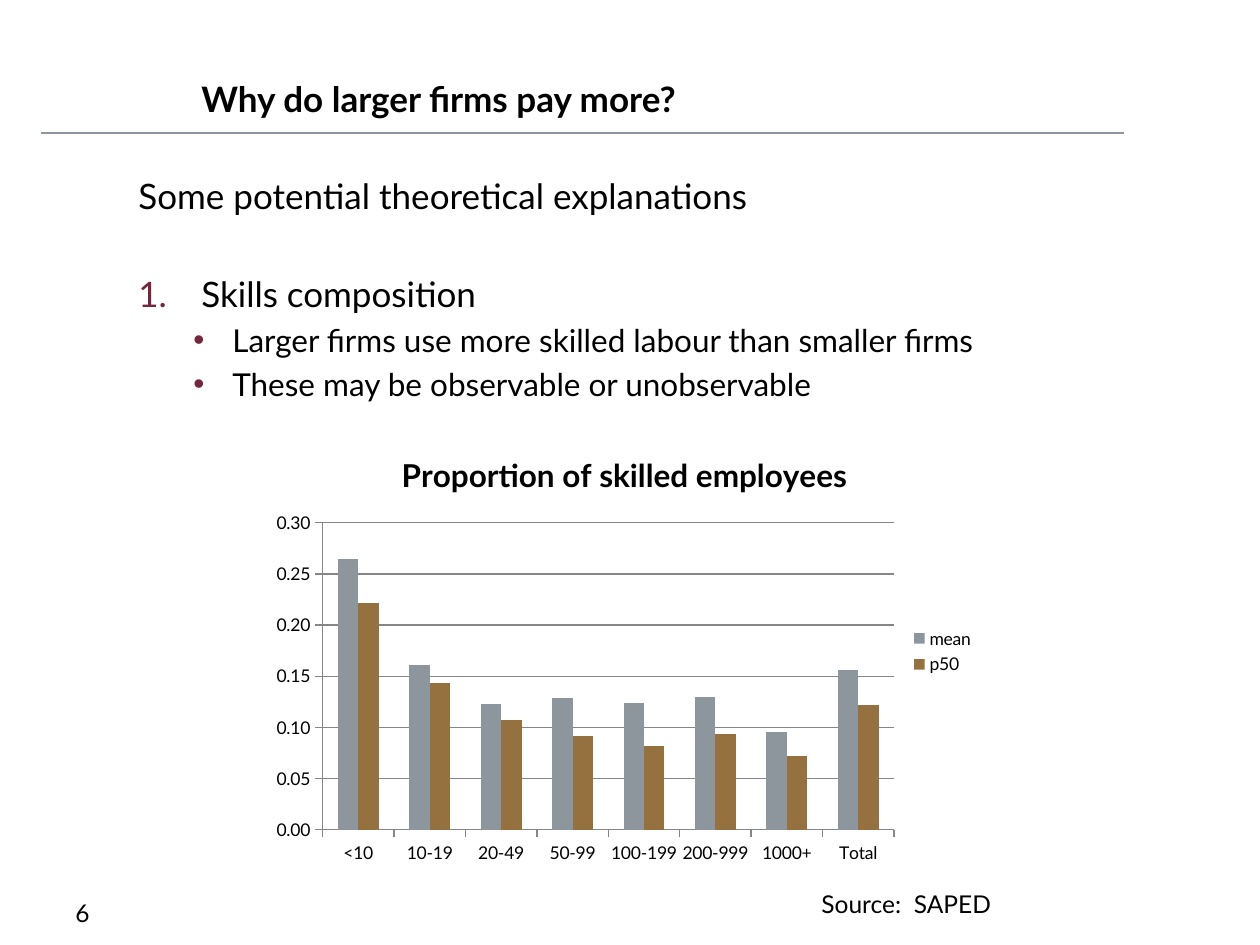
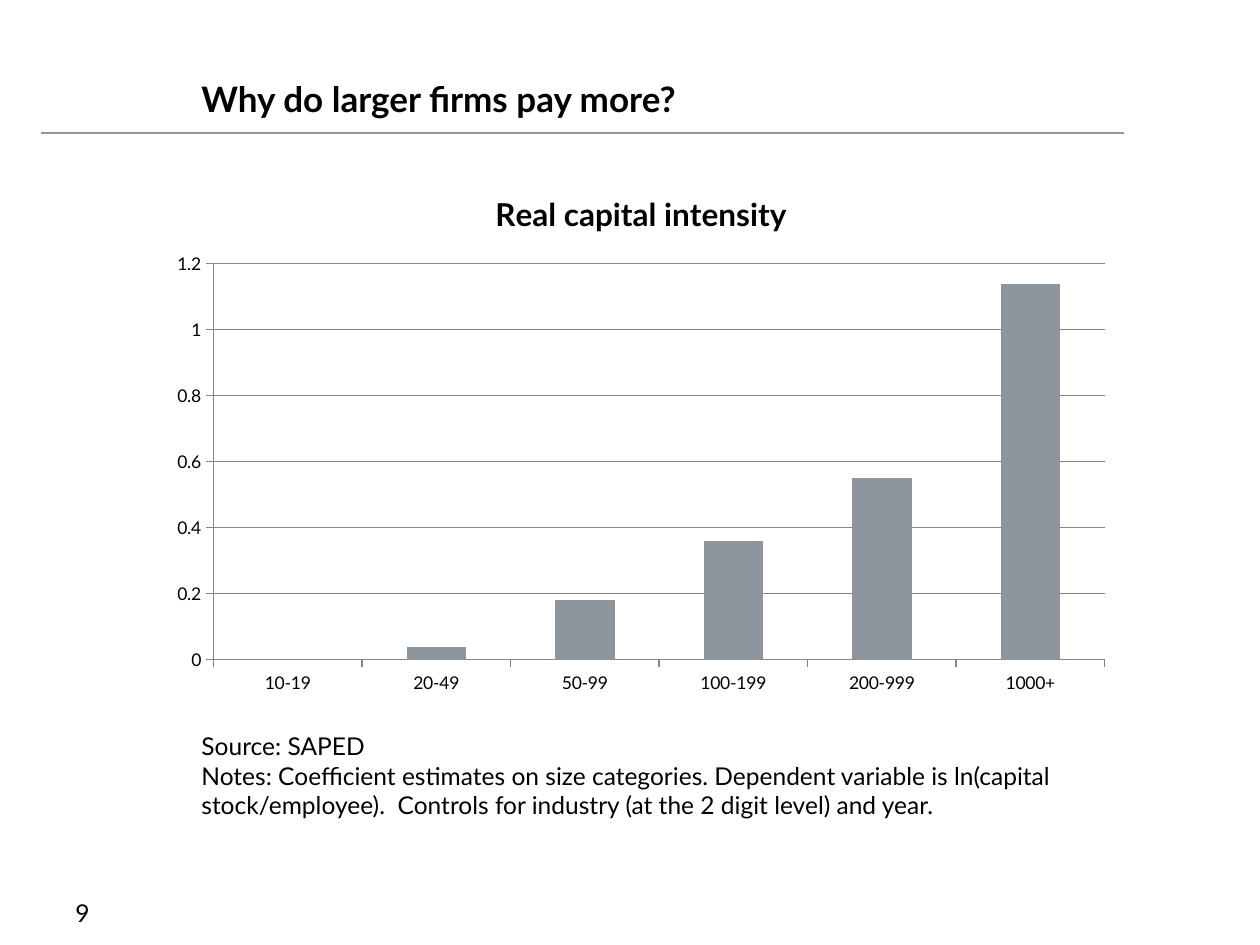
import lxml.etree
import pptx
import pptx.chart.data
import pptx.dml.color
import pptx.enum.chart
import pptx.enum.shapes
import pptx.enum.text
import pptx.oxml.ns
import pptx.util

EMU_PER_PIXEL = 914400 // 126
FONT = "Lato"
COLORS = {
    "text": "000000",
    "slate": "8C969C",
    "ochre": "967140",
    "bullet": "75263D",
    "grid": "868686",
}
HEADING = "Why do larger firms pay more?"


def px(pixels):
    """Turn pixels into EMU."""
    return pptx.util.Emu(pixels * EMU_PER_PIXEL)


def color(name):
    """Look up a palette colour."""
    return pptx.dml.color.RGBColor.from_string(COLORS[name])


def style_font(font, size, bold=False):
    """Apply the deck's typeface and text colour."""
    font.name = FONT
    font.size = pptx.util.Pt(size)
    font.bold = bold
    font.color.rgb = color("text")


def add_run(paragraph, text, size, bold=False):
    """Append one styled run."""
    run = paragraph.add_run()
    run.text = text
    style_font(run.font, size, bold)


def add_text(slide, box, lines, size, bold=False, anchor="TOP"):
    """Add a wrapping text box with one paragraph per line."""
    frame = slide.shapes.add_textbox(*map(px, box)).text_frame
    frame.word_wrap = True
    frame.vertical_anchor = pptx.enum.text.MSO_ANCHOR[anchor]
    for index, line in enumerate(lines):
        paragraph = frame.paragraphs[0] if index == 0 else frame.add_paragraph()
        add_run(paragraph, line, size, bold)
    return frame


def set_bullet(paragraph, margin, hanging, tag, **attributes):
    """Give a paragraph a coloured bullet or number with a hanging indent."""
    qn = pptx.oxml.ns.qn
    properties = paragraph._p.get_or_add_pPr()
    properties.set("marL", str(px(margin)))
    properties.set("indent", str(-px(hanging)))
    bullet_color = lxml.etree.SubElement(properties, qn("a:buClr"))
    lxml.etree.SubElement(bullet_color, qn("a:srgbClr"), val=COLORS["bullet"])
    if tag == "a:buChar":
        lxml.etree.SubElement(properties, qn("a:buFont"), typeface="Arial")
    lxml.etree.SubElement(properties, qn(tag), **attributes)


def add_explanations(slide):
    """Add the introduction, the numbered point and its bullets."""
    frame = add_text(slide, (126, 168, 1071, 703),
                     ["Some potential theoretical explanations"], 20)
    frame.paragraphs[0].space_before = pptx.util.Pt(4)

    point = frame.add_paragraph()
    point.space_before = pptx.util.Pt(32)
    add_run(point, "Skills composition", 20)
    set_bullet(point, 63, 63, "a:buAutoNum", type="arabicPeriod")

    for text in ("Larger firms use more skilled labour than smaller firms",
                 "These may be observable or unobservable"):
        detail = frame.add_paragraph()
        detail.level = 1
        detail.space_before = pptx.util.Pt(3.6)
        add_run(detail, text, 18)
        set_bullet(detail, 94, 39, "a:buChar", char="•")


def style_line(line):
    """Draw an axis or gridline in thin grey."""
    line.color.rgb = color("grid")
    line.width = pptx.util.Pt(0.75)


def add_column_chart(slide, box, title, categories, series, top, step, number_format):
    """Add a clustered column chart; series holds (name, values, colour)."""
    data = pptx.chart.data.CategoryChartData()
    data.categories = categories
    for name, values, _ in series:
        data.add_series(name, values)
    chart = slide.shapes.add_chart(
        pptx.enum.chart.XL_CHART_TYPE.COLUMN_CLUSTERED, *map(px, box), data).chart
    style_font(chart.font, 10)

    chart.has_title = True
    add_run(chart.chart_title.text_frame.paragraphs[0], title, 18, True)
    chart.chart_title.include_in_layout = False

    chart.has_legend = len(series) > 1
    if chart.has_legend:
        chart.legend.position = pptx.enum.chart.XL_LEGEND_POSITION.RIGHT
        chart.legend.include_in_layout = False

    plot = chart.plots[0]
    plot.gap_width = 150
    plot.vary_by_categories = False
    for column, (_, _, fill) in zip(plot.series, series):
        column.format.fill.solid()
        column.format.fill.fore_color.rgb = color(fill)

    for axis in (chart.category_axis, chart.value_axis):
        axis.major_tick_mark = pptx.enum.chart.XL_TICK_MARK.OUTSIDE
        axis.minor_tick_mark = pptx.enum.chart.XL_TICK_MARK.NONE
        style_line(axis.format.line)
    values_axis = chart.value_axis
    values_axis.minimum_scale = 0
    values_axis.maximum_scale = top
    values_axis.major_unit = step
    values_axis.has_major_gridlines = True
    style_line(values_axis.major_gridlines.format.line)
    values_axis.tick_labels.number_format = number_format
    values_axis.tick_labels.number_format_is_linked = False


def add_base_slide(presentation, number):
    """Add a slide with the shared rule, page number and heading."""
    slide = presentation.slides.add_slide(presentation.slide_layouts[6])
    rule = slide.shapes.add_connector(
        pptx.enum.shapes.MSO_CONNECTOR.STRAIGHT, *map(px, (41, 133, 1124, 133)))
    rule.line.color.rgb = color("slate")
    rule.line.width = pptx.util.Pt(1)
    lxml.etree.SubElement(rule._element.spPr, pptx.oxml.ns.qn("a:effectLst"))
    add_text(slide, (63, 892, 262, 63), [str(number)], 14)
    add_text(slide, (189, 63, 924, 63), [HEADING], 20, True, "BOTTOM")
    return slide


def build_skills_slide(presentation):
    """Build the slide on skills composition."""
    slide = add_base_slide(presentation, 6)
    add_explanations(slide)
    add_column_chart(
        slide, (262, 431, 725, 441), "Proportion of skilled employees",
        ["<10", "10-19", "20-49", "50-99", "100-199", "200-999", "1000+", "Total"],
        [("mean", [0.265, 0.161, 0.123, 0.129, 0.124, 0.13, 0.095, 0.156], "slate"),
         ("p50", [0.222, 0.143, 0.107, 0.092, 0.082, 0.094, 0.072, 0.122], "ochre")],
        0.3, 0.05, "0.00")
    add_text(slide, (809, 883, 325, 43), ["Source:  SAPED"], 14)


def build_capital_slide(presentation):
    """Build the slide on capital intensity."""
    slide = add_base_slide(presentation, 9)
    add_column_chart(
        slide, (158, 168, 966, 536), "Real capital intensity",
        ["10-19", "20-49", "50-99", "100-199", "200-999", "1000+"],
        [("Series 1", [None, 0.04, 0.18, 0.36, 0.55, 1.14], "slate")],
        1.2, 0.2, "General")
    add_text(slide, (189, 725, 892, 102), [
        "Source: SAPED",
        "Notes: Coefficient estimates on size categories. Dependent variable is "
        "ln(capital stock/employee).  Controls for industry (at the 2 digit level) "
        "and year."], 14)


def main():
    """Build and save the presentation."""
    presentation = pptx.Presentation()
    presentation.slide_width = pptx.util.Inches(10)
    presentation.slide_height = pptx.util.Inches(7.5)
    build_skills_slide(presentation)
    build_capital_slide(presentation)
    presentation.save("out.pptx")


main()
